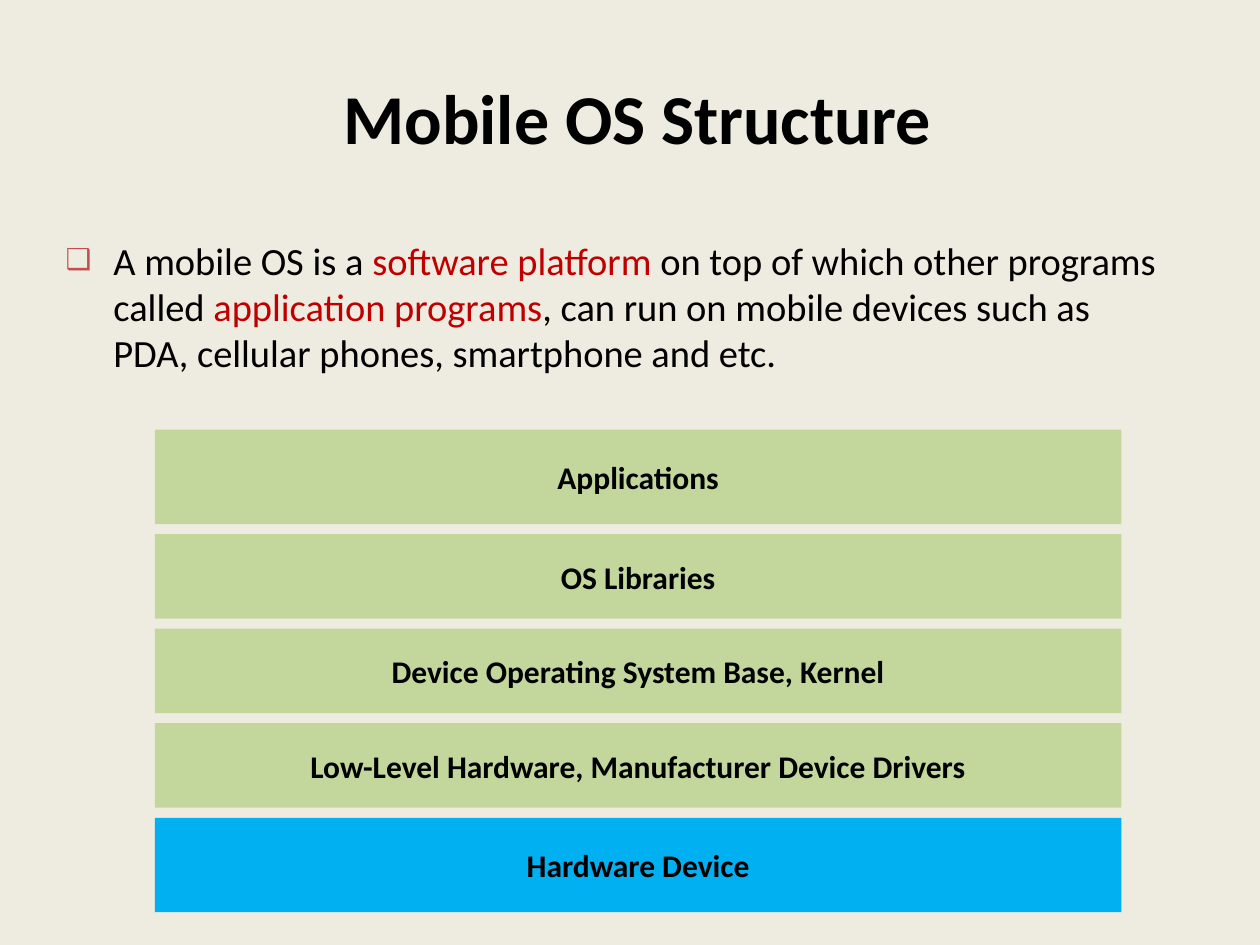
from lxml.etree import SubElement
from pptx import Presentation
from pptx.dml.color import RGBColor
from pptx.enum.shapes import MSO_SHAPE
from pptx.enum.text import MSO_ANCHOR, MSO_AUTO_SIZE, PP_ALIGN
from pptx.oxml.ns import qn
from pptx.util import Inches, Pt

HEX = {
    "back": "EEECE1",
    "text": "000000",
    "key": "C00000",
    "mark": "C0504D",
    "soft": "C3D69B",
    "hard": "00B0F0",
}
FACE = "Calibri"
LEFT, TOP, WIDE, GAP = 1.23, 3.41, 7.67, 0.08
INTRO = [
    ("A mobile OS is a ", "text"),
    ("software platform ", "key"),
    ("on top of which other programs called ", "text"),
    ("application programs", "key"),
    (", can run on mobile devices such as PDA, cellular phones, "
     "smartphone and etc.", "text"),
]
LAYERS = [
    ("Applications", 0.75, "soft"),
    ("OS Libraries", 0.67, "soft"),
    ("Device Operating System Base, Kernel", 0.67, "soft"),
    ("Low-Level Hardware, Manufacturer Device Drivers", 0.67, "soft"),
    ("Hardware Device", 0.75, "hard"),
]


def color(name):
    return RGBColor.from_string(HEX[name])


def style(run, size, name="text", bold=False):
    run.font.name = FACE
    run.font.size = Pt(size)
    run.font.bold = bold
    run.font.color.rgb = color(name)


def place(shape, left, top, width, height):
    shape.left, shape.top = Inches(left), Inches(top)
    shape.width, shape.height = Inches(width), Inches(height)


def center(frame, text, size):
    frame.text = text
    frame.word_wrap = True
    frame.vertical_anchor = MSO_ANCHOR.MIDDLE
    para = frame.paragraphs[0]
    para.alignment = PP_ALIGN.CENTER
    style(para.runs[0], size, bold=True)


def bullet(para):
    props = para._p.get_or_add_pPr()
    props.set("marL", str(Inches(0.38)))
    props.set("indent", str(Inches(-0.38)))
    tint = SubElement(props, qn("a:buClr"))
    SubElement(tint, qn("a:srgbClr"), val=HEX["mark"])
    SubElement(props, qn("a:buSzPct"), val="75000")
    SubElement(props, qn("a:buFont"), typeface=FACE)
    SubElement(props, qn("a:buChar"), char="❑")


def add_title(slide):
    title = slide.shapes.title
    place(title, 0.5, 0.3, 9, 1.25)
    frame = title.text_frame
    frame.auto_size = MSO_AUTO_SIZE.NONE
    frame.margin_left = Inches(0.22)
    center(frame, "Mobile OS Structure", 40)


def add_intro(slide):
    body = slide.placeholders[1]
    place(body, 0.42, 1.83, 8.92, 4.83)
    frame = body.text_frame
    frame.auto_size = MSO_AUTO_SIZE.NONE
    para = frame.paragraphs[0]
    bullet(para)
    para.space_before = Pt(0)
    for text, name in INTRO:
        run = para.add_run()
        run.text = text
        style(run, 22, name)


def add_layer(slide, text, top, height, name):
    bar = slide.shapes.add_shape(
        MSO_SHAPE.RECTANGLE,
        Inches(LEFT), Inches(top), Inches(WIDE), Inches(height))
    bar.shadow.inherit = False
    bar.fill.solid()
    bar.fill.fore_color.rgb = color(name)
    bar.line.fill.background()
    center(bar.text_frame, text, 18)


def main():
    deck = Presentation()
    deck.slide_width, deck.slide_height = Inches(10), Inches(7.5)
    slide = deck.slides.add_slide(deck.slide_layouts[1])
    slide.background.fill.solid()
    slide.background.fill.fore_color.rgb = color("back")
    add_title(slide)
    add_intro(slide)
    top = TOP
    for text, height, name in LAYERS:
        add_layer(slide, text, top, height, name)
        top += height + GAP
    deck.save("out.pptx")


if __name__ == "__main__":
    main()
